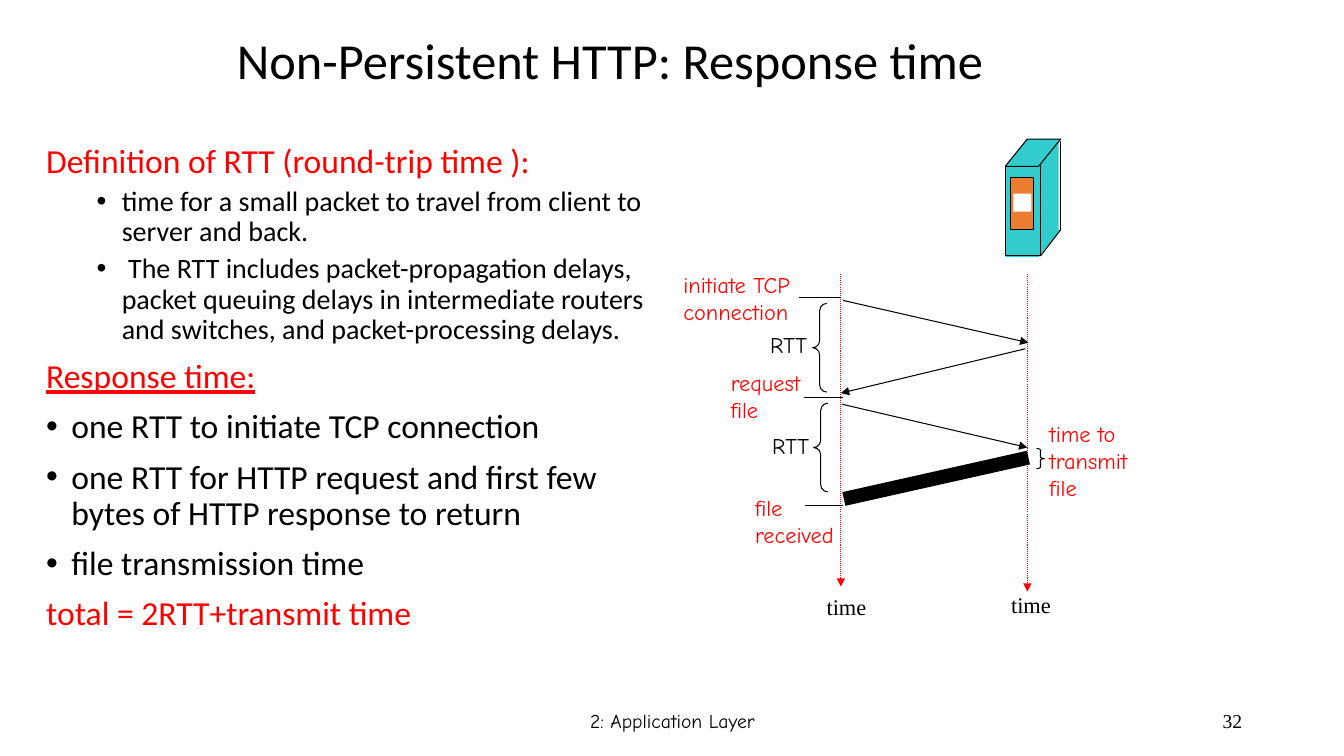
import pptx
import pptx.util
import pptx.dml.color
import pptx.enum.dml
import pptx.enum.shapes
import pptx.enum.text
import pptx.oxml
import pptx.oxml.ns
import lxml.etree

Inches = pptx.util.Inches
Pt = pptx.util.Pt
Shape = pptx.enum.shapes.MSO_SHAPE
Anchor = pptx.enum.text.MSO_ANCHOR
Align = pptx.enum.text.PP_ALIGN
Fit = pptx.enum.text.MSO_AUTO_SIZE
BLACK, RED, TEAL, ORANGE, WHITE = "000000", "FF0000", "33CCCC", "ED7D31", "FFFFFF"
SANS, COMIC, SERIF = "Calibri", "Comic Neue", "Times New Roman"


def color(text):
    return pptx.dml.color.RGBColor.from_string(text)


def put(item, values):
    for name, value in values.items():
        setattr(item, name, value)


def add(parent, tag, **attrs):
    return lxml.etree.SubElement(parent, pptx.oxml.ns.qn(tag), attrs)


class Board:
    def __init__(self, slide):
        self.shapes = slide.shapes
        self.thin = Pt(0.75)

    def frame(self, at, values):
        frame = self.shapes.add_textbox(*map(Inches, at)).text_frame
        put(frame, {"word_wrap": True, **values})
        return frame

    def fill_para(self, para, text, face, size, ink, **values):
        para.text = text
        put(para.font, {"name": face, "size": Pt(size), **values})
        para.font.color.rgb = color(ink)

    def line_text(self, at, text, face, size, **values):
        frame = self.frame(at, {"vertical_anchor": Anchor.MIDDLE})
        para = frame.paragraphs[0]
        put(para, values)
        self.fill_para(para, text, face, size, BLACK)

    def label(self, at, text, ink=BLACK, face=COMIC):
        frame = self.frame(at, {"word_wrap": False, "auto_size": Fit.SHAPE_TO_FIT_TEXT})
        for i, row in enumerate(text.split("\n")):
            para = frame.add_paragraph() if i else frame.paragraphs[0]
            self.fill_para(para, row, face, 16, ink)

    def body(self, at, items):
        frame = self.frame(at, {})
        for i, (text, level, dot, ink, under) in enumerate(items):
            para = frame.add_paragraph() if i else frame.paragraphs[0]
            gap = (5 if level else 10) if i else 0
            put(para, {"level": level, "line_spacing": 0.9, "space_before": Pt(gap)})
            props = para._p.get_or_add_pPr()
            props.set("marL", str(Inches(0.25 + level * 0.5)))
            props.set("indent", str(Inches(-0.25)))
            if dot:
                add(props, "a:buFont", typeface="Arial")
                add(props, "a:buChar", char="•")
            else:
                add(props, "a:buNone")
            self.fill_para(para, text, SANS, 20 if level else 24, ink, underline=under)

    def shape(self, kind, at, fill=None, edge=True, bend=None):
        shape = self.shapes.add_shape(kind, *map(Inches, at))
        shape.shadow.inherit = False
        if fill:
            shape.fill.solid()
            shape.fill.fore_color.rgb = color(fill)
        else:
            shape.fill.background()
        if edge:
            shape.line.color.rgb = color(BLACK)
            shape.line.width = self.thin
        else:
            shape.line.fill.background()
        if bend:
            shape.adjustments[0] = bend

    def line(self, start, end, ink=BLACK, head=False, **values):
        kind = pptx.enum.shapes.MSO_CONNECTOR.STRAIGHT
        line = self.shapes.add_connector(kind, *map(Inches, start + end))
        line.line.color.rgb = color(ink)
        put(line.line, {"width": self.thin, **values})
        if head:
            add(line.line._get_or_add_ln(), "a:tailEnd", type="triangle")
        add(line._element.spPr, "a:effectLst")


def server(board):
    slant, rect = Shape.PARALLELOGRAM, Shape.RECTANGLE
    board.shape(slant, (9.97, 2.28, 0.55, 0.27), TEAL, False, 0.81)
    board.shape(rect, (10.25, 1.39, 0.25, 0.9), TEAL, False)
    board.shape(rect, (9.97, 1.64, 0.35, 0.9), TEAL)
    board.shape(slant, (9.97, 1.38, 0.55, 0.27), TEAL, True, 0.81)
    board.line((10.52, 1.4), (10.52, 2.28))
    board.line((10.52, 2.28), (10.32, 2.54))
    board.shape(rect, (10.02, 1.76, 0.23, 0.52), ORANGE)
    board.shape(rect, (10.05, 1.92, 0.18, 0.18), WHITE, False)


def timing(board):
    dots = pptx.enum.dml.MSO_LINE.ROUND_DOT
    for x, end in ((8.34, 5.82), (10.19, 5.87)):
        board.line((x, 2.72), (x, end), RED, True, dash_style=dots)
    for start, end in (
        ((8.36, 2.98), (10.2, 3.4)),
        ((10.17, 3.46), (8.34, 3.9)),
        ((8.35, 4.01), (10.19, 4.44)),
    ):
        board.line(start, end, head=True)
    board.line((10.2, 4.54), (8.37, 4.95), width=Pt(10))
    for left, right, y in ((7.92, 8.34, 2.95), (7.97, 8.36, 3.94), (7.98, 8.36, 5.02)):
        board.line((left, y), (right, y))
    board.shape(Shape.RIGHT_BRACE, (10.28, 4.45, 0.08, 0.2), bend=0.2)
    for x, y in ((8.06, 3.01), (8.07, 4)):
        board.shape(Shape.LEFT_BRACE, (x, y, 0.14, 0.88), bend=0.52)
    for at, text in (
        ((10.31, 4.12, 1.16, 0.9), "time to\ntransmit\nfile"),
        ((6.68, 2.64, 1.42, 0.64), "initiate TCP\nconnection"),
        ((7.15, 3.61, 1, 0.64), "request\nfile"),
        ((7.39, 4.85, 1.09, 0.64), "file\nreceived"),
    ):
        board.label(at, text, RED)
    for x, y in ((7.54, 3.24), (7.56, 4.24)):
        board.label((x, y, 0.64, 0.37), "RTT")
    for x, y in ((8.1, 5.84), (9.93, 5.82)):
        board.label((x, y, 0.6, 0.37), "time", face=SERIF)


def main():
    deck = pptx.Presentation()
    put(deck, {"slide_width": Inches(13.33), "slide_height": Inches(7.5)})
    board = Board(deck.slides.add_slide(deck.slide_layouts[6]))
    board.line_text((2.25, 0, 8.99, 1.25), "Non-Persistent HTTP: Response time",
                    SANS, 36, line_spacing=0.9)
    board.body((0.36, 1.38, 6.37, 5.08), (
        ("Definition of RTT (round-trip time ):", 0, False, RED, False),
        ("time for a small packet to travel from client to server and back.",
         1, True, BLACK, False),
        (" The RTT includes packet-propagation delays, packet queuing delays in "
         "intermediate routers and switches, and packet-processing delays.",
         1, True, BLACK, False),
        ("Response time:", 0, False, RED, True),
        ("one RTT to initiate TCP connection", 0, True, BLACK, False),
        ("one RTT for HTTP request and first few bytes of HTTP response to return",
         0, True, BLACK, False),
        ("file transmission time", 0, True, BLACK, False),
        ("total = 2RTT+transmit time", 0, False, RED, False),
    ))
    server(board)
    timing(board)
    board.line_text((4.42, 6.95, 4.5, 0.4), "2: Application Layer",
                    COMIC, 14, alignment=Align.CENTER)
    board.line_text((9.42, 6.95, 3, 0.4), "32", SERIF, 14, alignment=Align.RIGHT)
    deck.save("out.pptx")


if __name__ == "__main__":
    main()
